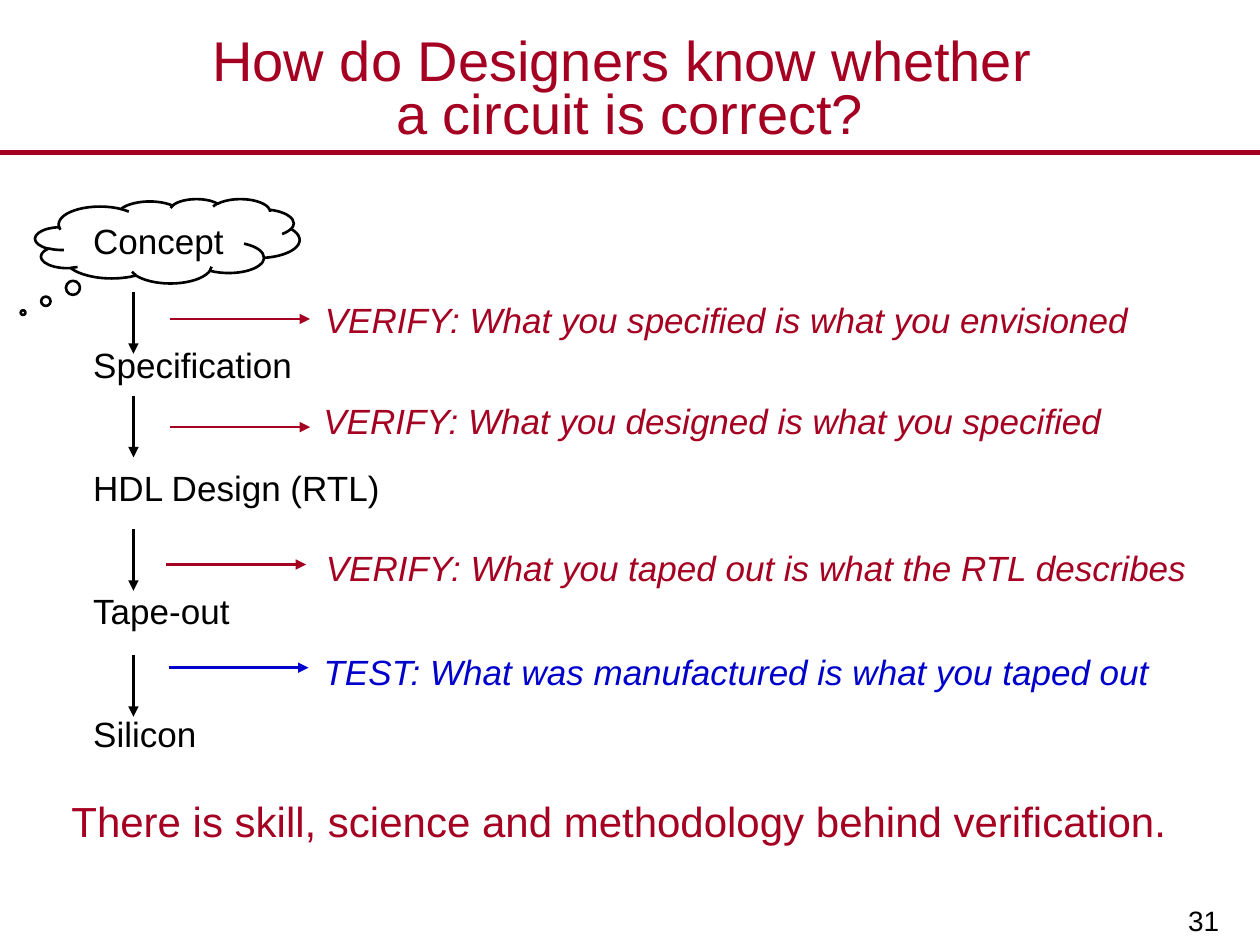
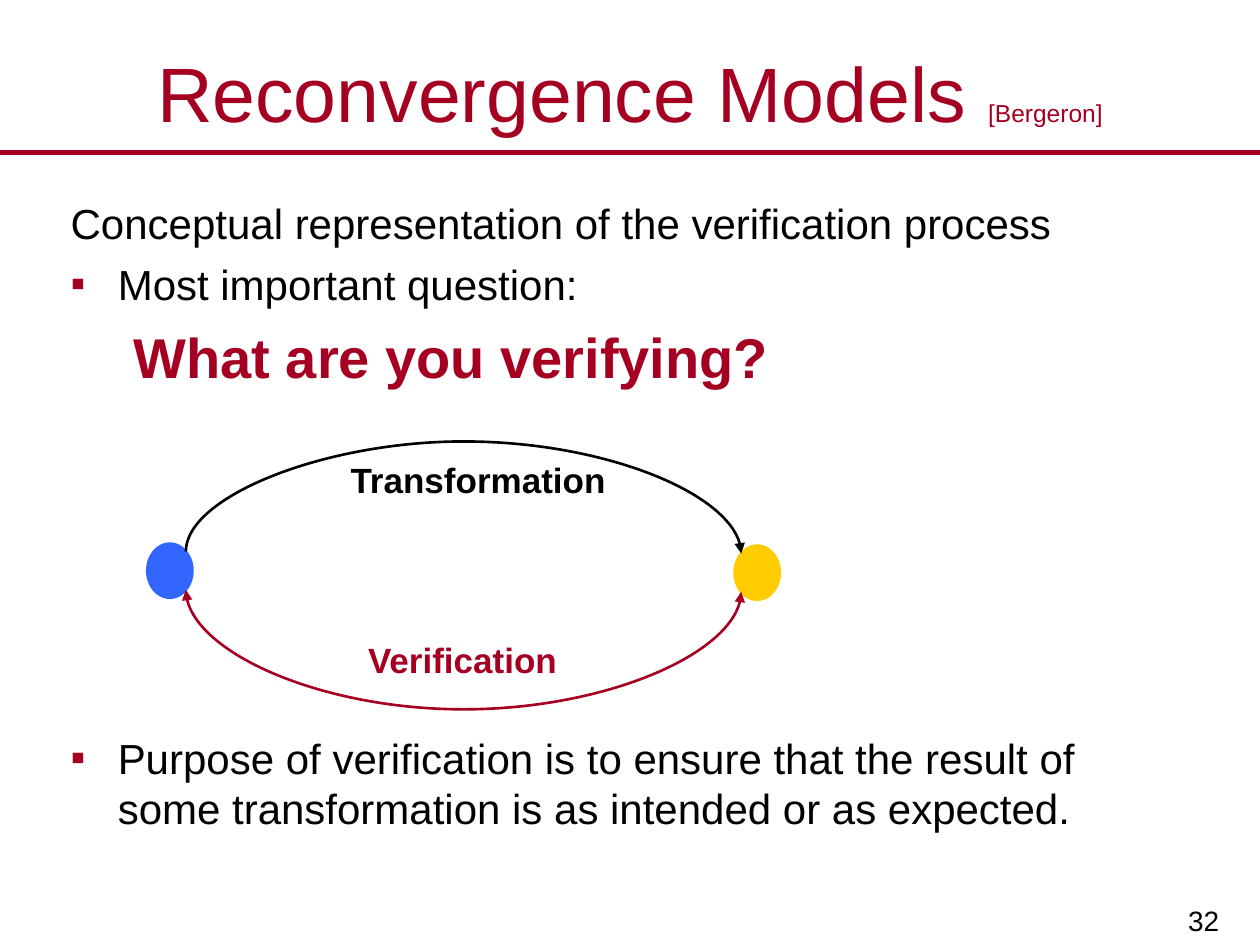
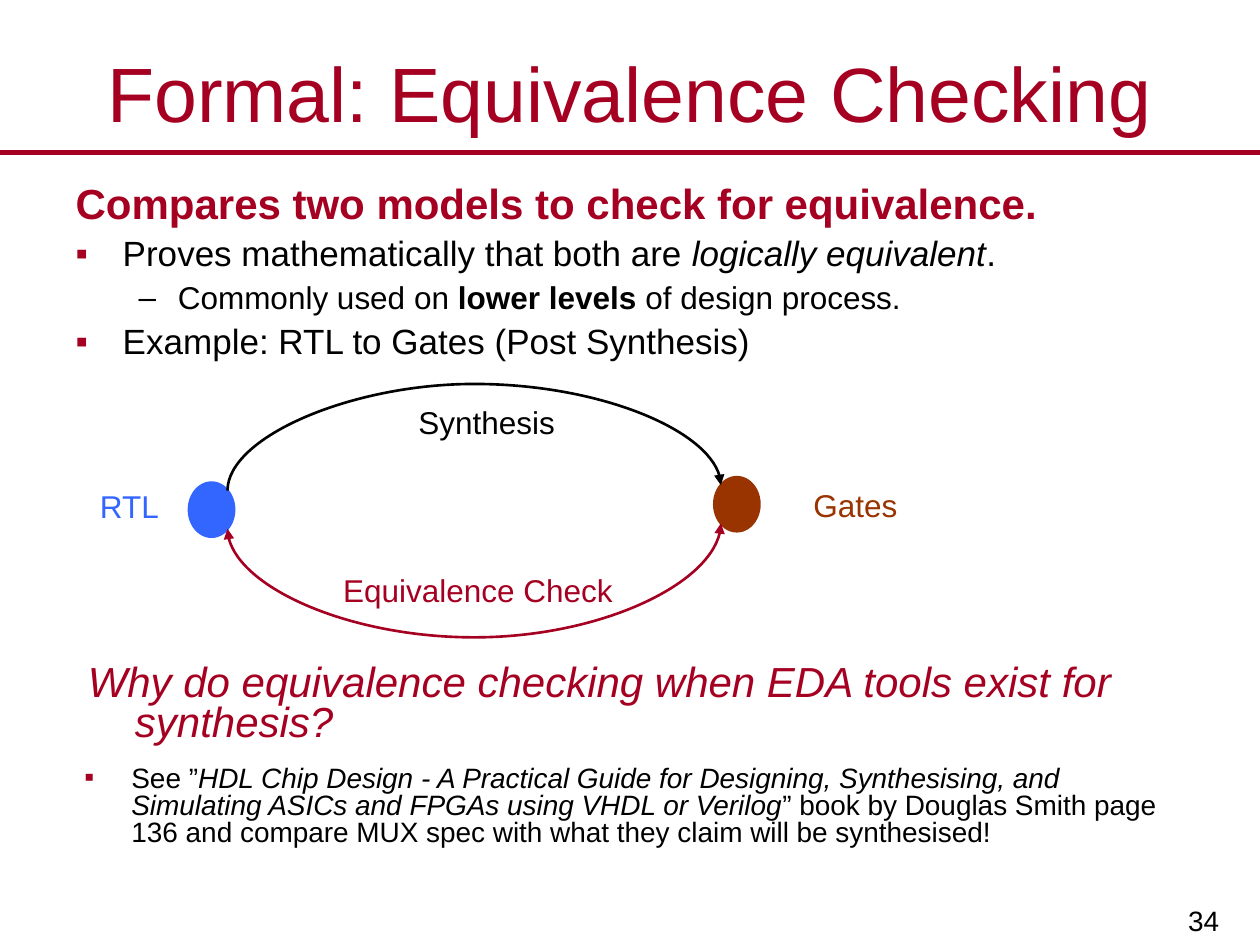
from lxml.etree import SubElement as Sub
from pptx import Presentation
from pptx.dml.color import RGBColor
from pptx.enum.shapes import MSO_CONNECTOR as Con, MSO_SHAPE as Geo
from pptx.enum.text import MSO_ANCHOR as Anchor, MSO_AUTO_SIZE as Fit, PP_ALIGN as Align
from pptx.oxml.ns import qn
from pptx.util import Cm, Pt

FONT = "Arial"
RED, BLACK, BLUE = "A50021", "000000", "0000CC"
SKY, GOLD, RUST = "3366FF", "FFCC00", "993300"

# Paragraph kinds: left margin (cm), indent (cm), level, bullet, bullet colour
KINDS = {
    "hang": (0.95, -0.95, 0, None, None),
    "dot": (0.95, -0.95, 0, "▪", RED),
    "dash": (2.06, -0.79, 1, "–", BLACK),
    "deep": (1.27, 0, 1, None, None),
    "flat": (0, 0, 0, None, None),
}

# Titles: slide number, line spacing, runs of (text, size)
TITLES = [
    (31, 0.8, [("How do Designers know whether \va circuit is correct?", 32)]),
    (32, 1, [("Reconvergence Models ", 44), ("[Bergeron]", 14)]),
    (34, 1, [("Formal: Equivalence Checking", 44)]),
]

# Paragraphs: kind, size, colour, runs of (text, style), optional gap before (pt)
STAGES = ["Concept", "Specification", "HDL Design (RTL)", "Tape-out", "Silicon"]
STAGE_GAP = 51.2
SKILL = [("hang", 24, RED, [("There is skill, science and methodology behind verification.", "")])]
# Checks: text, colour, top of down arrow, start of side arrow, text box
CHECKS = [
    ("VERIFY: What you specified is what you envisioned", RED,
     5.89, (3.43, 6.43), (6.3, 5.89, 17.09, 1.12)),
    ("VERIFY: What you designed is what you specified", RED,
     7.98, (3.43, 8.61), (6.27, 7.92, 16.31, 1.32)),
    ("VERIFY: What you taped out is what the RTL describes", RED,
     10.67, (3.35, 11.38), (6.32, 10.9, 18.39, 1.3)),
    ("TEST: What was manufactured is what you taped out", BLUE,
     13.21, (3.4, 13.46), (6.27, 12.98, 18.16, 1.45)),
]

MODELS = [
    ("hang", 24, BLACK, [("Conceptual representation of the verification process", "")]),
    ("dot", 24, BLACK, [("Most important question:", "")]),
    ("deep", 32, RED, [("What are you verifying?", "b")]),
    ("dot", 24, BLACK, [("Purpose of verification is to ensure that the result of some "
                         "transformation is as intended or as expected.", "")], 196),
]

FORMAL = [
    ("hang", 24, RED, [("Compares two models to check for equivalence.", "b")]),
    ("dot", 20, BLACK, [("Proves mathematically that both are ", ""),
                        ("logically equivalent", "i"), (".", "")]),
    ("dash", 18, BLACK, [("Commonly used on ", ""), ("lower levels ", "b"),
                         ("of design process.", "")]),
    ("dot", 20, BLACK, [("Example: RTL to Gates (Post Synthesis)", "")]),
]
WHY = [("hang", 24, RED, [("Why do equivalence checking when EDA tools exist for synthesis?", "i")])]
BOOK = [("dot", 16, BLACK, [
    ("See ”", ""),
    ("HDL Chip Design - A Practical Guide for Designing, Synthesising, and "
     "Simulating ASICs and FPGAs using VHDL or Verilog", "i"),
    ("” book by Douglas Smith page 136 and compare MUX spec with what they "
     "claim will be synthesised!", "")])]

# Loops: nodes (left, top, colour), peaks of the two arcs, labels
LOOPS = [
    {"nodes": [(2.97, 10.96, SKY), (14.81, 11, GOLD)], "peaks": (8.9, 14.3),
     "labels": [("Transformation", 20, BLACK, "b", (6.07, 9.12, 7.14, 1.09)),
                ("Verification", 20, RED, "b", (5.21, 12.75, 8.23, 1.09))]},
    {"nodes": [(3.81, 9.73, SKY), (14.4, 9.62, RUST)], "peaks": (7.74, 12.85),
     "labels": [("Synthesis", 18, BLACK, "", (6.71, 8, 6.2, 1.02)),
                ("Equivalence Check", 18, RED, "", (5.84, 11.38, 7.59, 1.02)),
                ("RTL", 18, SKY, "", (1.24, 9.7, 2.74, 1.02)),
                ("Gates", 18, RUST, "", (15.62, 9.68, 3.25, 1.02))]},
]


def rgb(hue):
    return RGBColor.from_string(hue)


# Text
def style(run, size, hue, marks=""):
    font = run.font
    font.name, font.size, font.color.rgb = FONT, Pt(size), rgb(hue)
    font.bold, font.italic = "b" in marks, "i" in marks


def shape_para(para, kind, gap, pitch, align):
    left, hang, level, mark, hue = KINDS[kind]
    para.level, para.alignment = level, align
    para.line_spacing, para.space_before, para.space_after = pitch, Pt(gap), Pt(0)
    prop = para._p.get_or_add_pPr()
    prop.set("marL", str(Cm(left)))
    prop.set("indent", str(Cm(hang)))
    if mark:
        Sub(Sub(prop, qn("a:buClr")), qn("a:srgbClr"), val=hue)
        Sub(prop, qn("a:buFont"), typeface=FONT)
        Sub(prop, qn("a:buChar"), char=mark)
    else:
        Sub(prop, qn("a:buNone"))


def fill_text(shape, paras, pitch=1, align=Align.LEFT):
    frame = shape.text_frame
    frame.word_wrap, frame.auto_size = True, Fit.NONE
    for i, (kind, size, hue, runs, *gap) in enumerate(paras):
        para = frame.add_paragraph() if i else frame.paragraphs[0]
        shape_para(para, kind, gap[0] if gap else 0.24 * size, pitch, align)
        for text, marks in runs:
            run = para.add_run()
            run.text = text
            style(run, size, hue, marks)


def place(shape, box):
    shape.left, shape.top, shape.width, shape.height = map(Cm, box)
    return shape


def add_text(slide, box, paras, pitch=1, align=Align.LEFT):
    shape = slide.shapes.add_textbox(*map(Cm, box))
    fill_text(shape, paras, pitch, align)
    return shape


def add_body(slide, box, paras, pitch=1):
    fill_text(place(slide.placeholders[1], box), paras, pitch)


# Lines and arrows
def ink(con, hue, width=1.5, head=False, tail=True):
    con.line.color.rgb, con.line.width = rgb(hue), Pt(width)
    line = con.line._ln
    for tag, on in (("a:headEnd", head), ("a:tailEnd", tail)):
        if on:
            Sub(line, qn(tag), type="triangle")
    Sub(con._element.spPr, qn("a:effectLst"))


def add_line(slide, x, y, dx, dy, hue, **look):
    ends = map(Cm, (x, y, x + dx, y + dy))
    con = slide.shapes.add_connector(Con.STRAIGHT, *ends)
    ink(con, hue, **look)
    return con


def add_arc(slide, a, b, peak, hue, low):
    """Curve from node a to node b that bulges up, or down when low."""
    part = 0.854 if low else 0.146
    x1, x2 = a.left + 0.854 * a.width, b.left + 0.146 * b.width
    y1, y2 = (n.top + part * n.height for n in (a, b))
    wide, tall = abs(y2 - y1), x2 - x1
    con = slide.shapes.add_connector(Con.CURVE, 0, 0, 0, 0)
    con.left, con.top = int((x1 + x2 - wide) / 2), int((y1 + y2 - tall) / 2)
    con.width, con.height = int(wide), int(tall)
    bend = (Cm(peak) - y1) / (y2 - y1)
    con.rotation = 270 if bend > 0 else 90
    prop = con._element.spPr
    frame = prop.find(qn("a:xfrm"))
    if low:
        frame.set("flipH", "1")
    if bend < 0:
        frame.set("flipV", "1")
    Sub(prop.find(qn("a:prstGeom")).find(qn("a:avLst")), qn("a:gd"),
        name="adj1", fmla=f"val {round(bend * 100000)}")
    # Glue both ends to the corner sites of the ellipses
    link = con._element.find(qn("p:nvCxnSpPr")).find(qn("p:cNvCxnSpPr"))
    sites = (5, 3) if low else (7, 1)
    for tag, node, site in zip(("a:stCxn", "a:endCxn"), (a, b), sites):
        Sub(link, qn(tag), id=str(node.shape_id), idx=str(site))
    ink(con, hue, head=low)


def add_node(slide, x, y, hue):
    node = slide.shapes.add_shape(Geo.OVAL, *map(Cm, (x, y, 0.91, 1.09)))
    node.shadow.inherit = False
    node.fill.solid()
    node.fill.fore_color.rgb = node.line.color.rgb = rgb(hue)
    node.line.width = Pt(1.5)
    return node


def add_loop(slide, loop):
    a, b = [add_node(slide, *node) for node in loop["nodes"]]
    for peak, hue, low in zip(loop["peaks"], (BLACK, RED), (False, True)):
        add_arc(slide, a, b, peak, hue, low)
    for text, size, hue, marks, box in loop["labels"]:
        add_text(slide, box, [("flat", size, hue, [(text, marks)], 0)], align=Align.CENTER)


# Shared frame of every slide
def add_slide(deck, layout, number, pitch, runs):
    slide = deck.slides.add_slide(layout)
    frame = slide.shapes.title.text_frame
    frame.auto_size, frame.vertical_anchor = Fit.NONE, Anchor.MIDDLE
    para = frame.paragraphs[0]
    para.alignment, para.line_spacing = Align.CENTER, pitch
    for text, size in runs:
        first, *rest = text.split("\v")
        for i, piece in enumerate([first, *rest]):
            if i:
                para.add_line_break()
            run = para.add_run()
            run.text = piece
            style(run, size, RED)
    page = add_text(slide, (19.81, 17.6, 5.05, 1.45),
                    [("flat", 16, BLACK, [(str(number), "")], 0)], align=Align.RIGHT)
    frame = page.text_frame
    frame.vertical_anchor = Anchor.BOTTOM
    frame.margin_left = frame.margin_right = Cm(0.28)
    frame.margin_top = frame.margin_bottom = Cm(0.15)
    return slide


# Slides
def draw_flow(slide):
    add_text(slide, (1.63, 4.47, 8.59, 13.06),
             [("hang", 20, BLACK, [(name, "")], STAGE_GAP if i else 0)
              for i, name in enumerate(STAGES)], 0.8)
    cloud = slide.shapes.add_shape(Geo.CLOUD_CALLOUT, *map(Cm, (0.71, 4.01, 5.33, 1.7)))
    cloud.adjustments[0], cloud.adjustments[1] = -0.546, 0.849
    cloud.shadow.inherit = False
    cloud.fill.background()
    cloud.line.color.rgb, cloud.line.width = rgb(BLACK), Pt(1.5)
    for text, hue, drop, (x, y), box in CHECKS:
        add_line(slide, 2.69, drop, 0, 1.24, BLACK)
        add_line(slide, x, y, 2.82, 0, hue)
        put = add_body if hue == BLUE else add_text
        put(slide, box, [("hang", 20, hue, [(text, "i")])])
    add_text(slide, (1.19, 16.03, 22.86, 1.65), SKILL, 0.9)


def draw_models(slide):
    add_body(slide, (1.17, 3.86, 22.86, 13.64), MODELS)
    add_loop(slide, LOOPS[0])


def draw_formal(slide):
    add_body(slide, (1.27, 3.56, 22.86, 4.22), FORMAL, 0.9)
    add_loop(slide, LOOPS[1])
    add_text(slide, (1.52, 13.28, 22.86, 2.01), WHY, 0.8)
    add_text(slide, (1.45, 15.34, 22.86, 2.03), BOOK, 0.8)


def main():
    deck = Presentation()
    deck.slide_width, deck.slide_height = Cm(25.4), Cm(19.05)
    layout = deck.slide_layouts[1]
    place(layout.placeholders[0], (0, 0.76, 25.4, 2.18))
    slides = [add_slide(deck, layout, *title) for title in TITLES]
    # The rule under the title lives on the layout
    rule = add_line(slides[0], 0, 3.07, 25.4, 0, RED, width=3, tail=False)
    layout.shapes._spTree.append(rule._element)
    for draw, slide in zip((draw_flow, draw_models, draw_formal), slides):
        draw(slide)
    deck.save("out.pptx")


if __name__ == "__main__":
    main()
